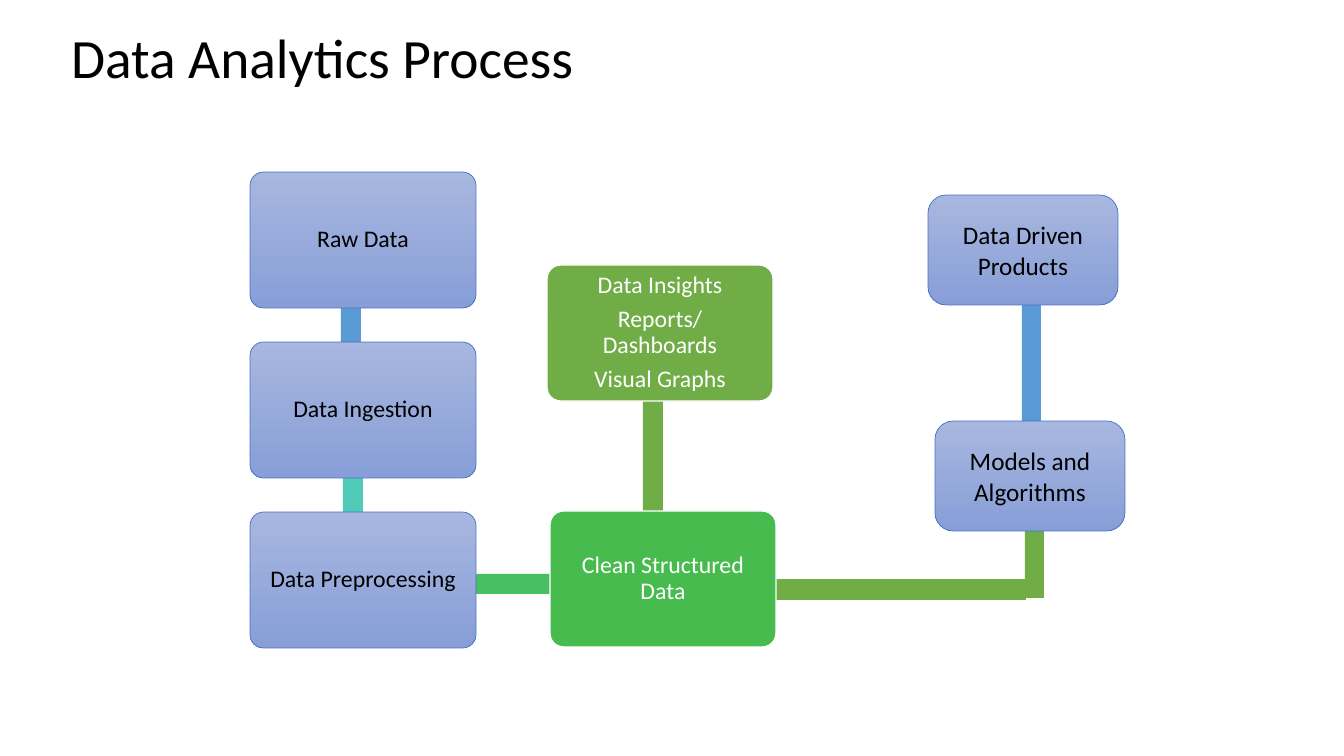
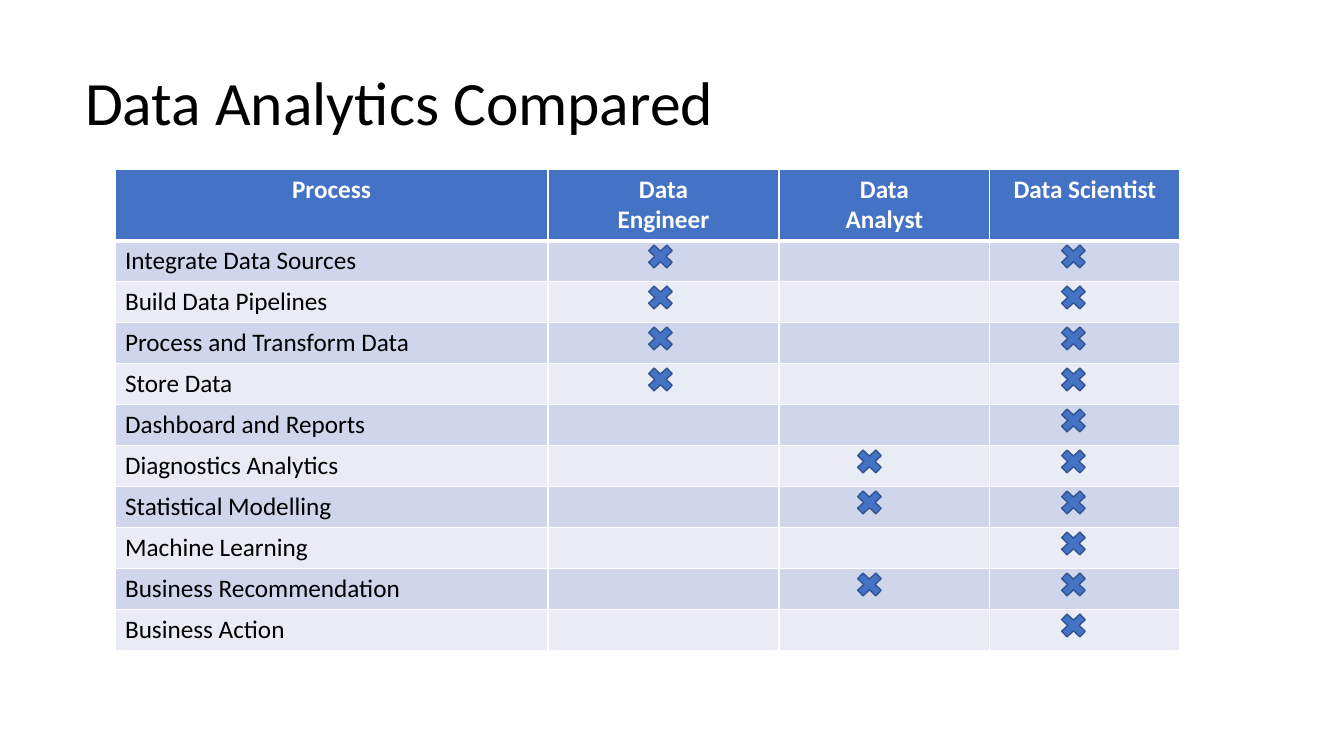
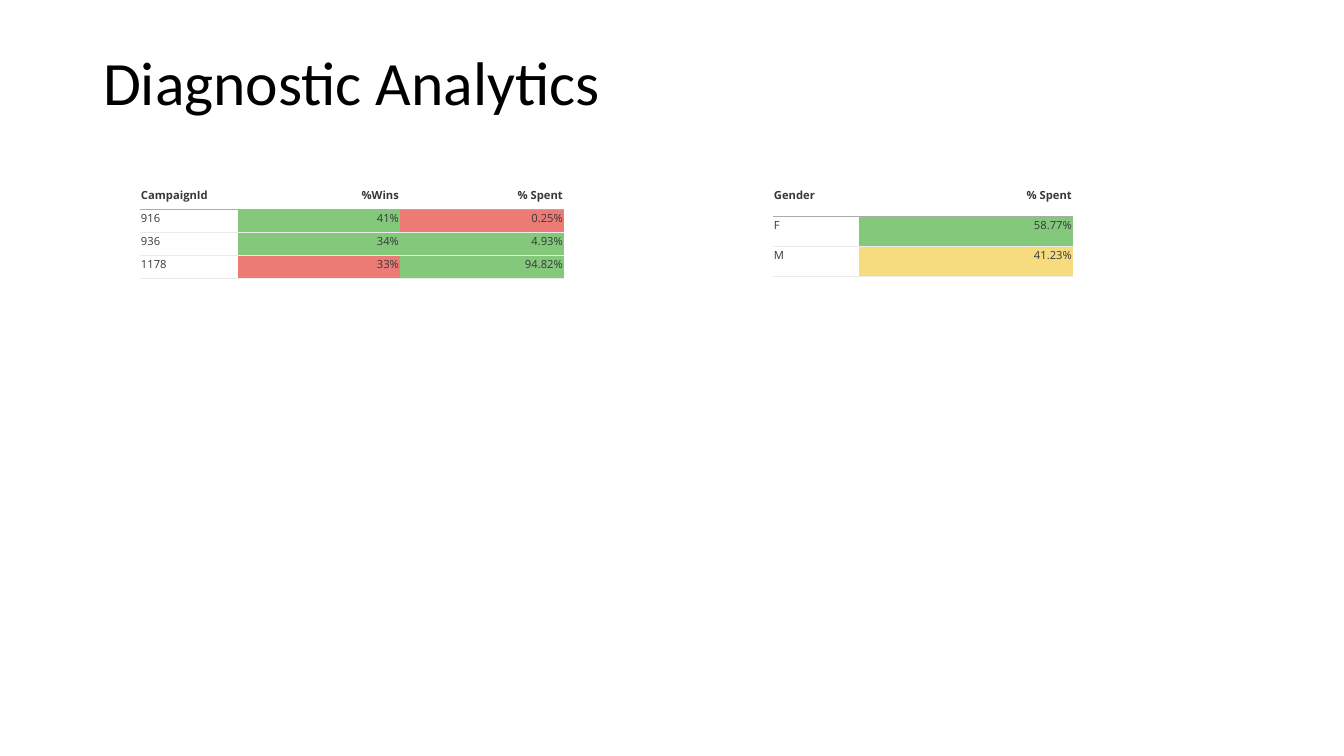
from dataclasses import dataclass

from lxml import etree
from pptx import Presentation
from pptx.dml.color import RGBColor
from pptx.enum.shapes import MSO_SHAPE
from pptx.enum.text import MSO_ANCHOR, MSO_AUTO_SIZE, PP_ALIGN
from pptx.oxml.ns import qn
from pptx.util import Emu, Pt

RECT = MSO_SHAPE.RECTANGLE
ROUNDED = MSO_SHAPE.ROUNDED_RECTANGLE
CROSS = MSO_SHAPE.MATH_MULTIPLY
LEFT, CENTER, RIGHT = PP_ALIGN.LEFT, PP_ALIGN.CENTER, PP_ALIGN.RIGHT
MIDDLE = MSO_ANCHOR.MIDDLE
NO_AUTOFIT = MSO_AUTO_SIZE.NONE
EMU_PER_PX = 914400 / 100.8


@dataclass(frozen=True)
class Theme:
    """Colours, fonts and type sizes of the deck."""
    font: str = "Calibri"
    data_font: str = "Open Sans"
    black: str = "000000"
    white: str = "FFFFFF"
    blue: str = "4472C4"
    blue_edge: str = "325491"
    sky: str = "5B9BD5"
    teal: str = "52CAB8"
    mint: str = "49BF64"
    emerald: str = "48BB4F"
    green: str = "70AD47"
    box_top: str = "A8B7DF"
    box_bottom: str = "889ED7"
    band_dark: str = "CFD5EA"
    band_light: str = "E9EBF5"
    data_text: str = "35383A"
    head_rule: str = "ABABAB"
    row_rule: str = "EBEBEB"
    good: str = "84C87B"
    bad: str = "EC7B75"
    fair: str = "F6DB7F"
    title_small: float = 39.6
    title: float = 44
    body: float = 18
    stage: float = 17
    data: float = 8


T = Theme()

# Process diagram: left, top, width, height, colour
LINKS = [
    (341, 206, 20, 168, T.sky),
    (343, 375, 20, 168, T.teal),
    (301, 574, 299, 20, T.mint),
    (643, 299, 20, 245, T.green),
    (1025, 488, 19, 110, T.green),
    (775, 579, 251, 21, T.green),
    (1022, 261, 19, 160, T.sky),
]
STAGES = ["Raw Data", "Data Ingestion", "Data Preprocessing"]
STAGE_LEFT, STAGE_TOP, STAGE_PITCH = 250, 172, 170
STAGE_SIZE = (226, 136)
RESULTS = [
    (550, 511, T.emerald, ["Clean Structured Data"]),
    (547, 265, T.green, ["Data Insights", "Reports/Dashboards", "Visual Graphs"]),
]
PRODUCTS = [
    (935, 421, "Models and Algorithms"),
    (928, 195, "Data Driven Products"),
]
PRODUCT_SIZE = (190, 110)

# Role comparison: task, then the roles that carry it out
ROLE_HEAD = ["Process", "Data\nEngineer", "Data\nAnalyst", "Data Scientist"]
ENGINEER, ANALYST, SCIENTIST = 643, 852, 1056  # left edge of each role's crosses
TASKS = [
    ("Integrate Data Sources", (ENGINEER, SCIENTIST)),
    ("Build Data Pipelines", (ENGINEER, SCIENTIST)),
    ("Process and Transform Data", (ENGINEER, SCIENTIST)),
    ("Store Data", (ENGINEER, SCIENTIST)),
    ("Dashboard and Reports", (SCIENTIST,)),
    ("Diagnostics Analytics", (ANALYST, SCIENTIST)),
    ("Statistical Modelling", (ANALYST, SCIENTIST)),
    ("Machine Learning", (SCIENTIST,)),
    ("Business Recommendation", (ANALYST, SCIENTIST)),
    ("Business Action", (SCIENTIST,)),
]
ROLE_COLUMNS = [433, 231, 211, 190]
ROLE_LEFT, ROLE_TOP, HEAD_HEIGHT, TASK_HEIGHT = 115, 169, 70, 41
CROSS_SIZE = (35, 33)

# Diagnostic tables: left, column widths, row height, rows, fills of the values
DIAGNOSTICS_TOP = 186
DIAGNOSTICS = [
    (773, [86, 214], 30,
     [["Gender", "% Spent"], ["F", "58.77%"], ["M", "41.23%"]],
     [[T.good], [T.fair]]),
    (140, [98, 162, 164], 23,
     [["CampaignId", "%Wins", "% Spent"], ["916", "41%", "0.25%"],
      ["936", "34%", "4.93%"], ["1178", "33%", "94.82%"]],
     [[T.good, T.bad], [T.good, T.good], [T.bad, T.good]]),
]


def px(length):
    """Turn pixels into EMU."""
    return Emu(round(length * EMU_PER_PX))


def rgb(colour):
    """Turn a hex string into a colour."""
    return RGBColor.from_string(colour)


def write(frame, text, size, colour, align, font=T.font, bold=False,
          spacing=None, after=None):
    """Fill a text frame, one paragraph a line, in one style."""
    frame.text = text
    for paragraph in frame.paragraphs:
        paragraph.alignment = align
        paragraph.line_spacing = spacing
        paragraph.space_after = after
        paragraph.font.name = font
        paragraph.font.size = Pt(size)
        paragraph.font.bold = bold
        paragraph.font.color.rgb = rgb(colour)


def add_titled_slide(deck, title, box, size):
    """Add a slide with its title placed and styled."""
    slide = deck.slides.add_slide(deck.slide_layouts[5])
    heading = slide.shapes.title
    heading.left, heading.top, heading.width, heading.height = map(px, box)
    write(heading.text_frame, title, size, T.black, LEFT, spacing=0.9)
    heading.text_frame.vertical_anchor = MIDDLE
    heading.text_frame.auto_size = NO_AUTOFIT
    return slide


def add_block(slide, kind, box, fill=None, edge=None, weight=1):
    """Add a preset shape; without a fill colour it gets the box gradient."""
    block = slide.shapes.add_shape(kind, *map(px, box))
    block.shadow.inherit = False
    if fill:
        block.fill.solid()
        block.fill.fore_color.rgb = rgb(fill)
    else:
        block.fill.gradient()
        block.fill.gradient_angle = 270
        for stop, colour in zip(block.fill.gradient_stops, (T.box_top, T.box_bottom)):
            stop.color.rgb = rgb(colour)
    if edge:
        block.line.color.rgb = rgb(edge)
        block.line.width = Pt(weight)
    else:
        block.line.fill.background()
    return block


def add_step(slide, box, text, colour, fill=None, edge=T.blue, weight=0.5):
    """Add a step of the main flow with slightly rounded corners."""
    step = add_block(slide, ROUNDED, box, fill, edge, weight)
    step.adjustments[0] = 0.1
    write(step.text_frame, text, T.stage, colour, CENTER, spacing=0.9, after=Pt(6))
    step.text_frame.vertical_anchor = MIDDLE


def add_grid(slide, left, top, columns, rows):
    """Add a table with the given column widths and row heights."""
    grid = slide.shapes.add_table(len(rows), len(columns), px(left), px(top),
                                  px(sum(columns)), px(sum(rows))).table
    for column, width in zip(grid.columns, columns):
        column.width = px(width)
    for row, height in zip(grid.rows, rows):
        row.height = px(height)
    return grid


def paint_cell(cell, fill, **borders):
    """Set a cell's L, R, T and B borders as (colour, points) or None, then its fill."""
    properties = cell._tc.get_or_add_tcPr()
    for side in "LRTB":
        border = borders.get(side)
        line = etree.SubElement(properties, qn("a:ln" + side))
        if border:
            colour, points = border
            line.set("w", str(Pt(points)))
            solid = etree.SubElement(line, qn("a:solidFill"))
            etree.SubElement(solid, qn("a:srgbClr")).set("val", colour)
        else:
            etree.SubElement(line, qn("a:noFill"))
    cell.fill.solid()
    cell.fill.fore_color.rgb = rgb(fill)


def build_process(deck):
    """Build the process diagram: links first, boxes over them."""
    slide = add_titled_slide(deck, "Data Analytics Process", (61, 25, 948, 72),
                             T.title_small)
    for *box, colour in LINKS:
        add_block(slide, RECT, box, colour)
    for index, stage in enumerate(STAGES):
        top = STAGE_TOP + index * STAGE_PITCH
        add_step(slide, (STAGE_LEFT, top, *STAGE_SIZE), stage, T.black)
    for left, top, fill, lines in RESULTS:
        add_step(slide, (left, top, *STAGE_SIZE), "\n".join(lines), T.white,
                 fill, T.white, 1)
    for left, top, product in PRODUCTS:
        block = add_block(slide, ROUNDED, (left, top, *PRODUCT_SIZE),
                          edge=T.blue, weight=0.5)
        write(block.text_frame, product, T.body, T.black, CENTER)
        block.text_frame.vertical_anchor = MIDDLE


def build_comparison(deck):
    """Build the table of tasks and put a cross under each role involved."""
    slide = add_titled_slide(deck, "Data Analytics Compared", (75, 67, 948, 77),
                             T.title)
    grid = add_grid(slide, ROLE_LEFT, ROLE_TOP, ROLE_COLUMNS,
                    [HEAD_HEIGHT] + [TASK_HEIGHT] * len(TASKS))
    thin, thick = (T.white, 1), (T.white, 3)
    for column, role in enumerate(ROLE_HEAD):
        cell = grid.cell(0, column)
        write(cell.text_frame, role, T.body, T.white, CENTER, bold=True)
        paint_cell(cell, T.blue, L=thin, R=thin, T=thin, B=thick)
    for row, (task, roles) in enumerate(TASKS, 1):
        band = T.band_dark if row % 2 else T.band_light
        for column in range(len(ROLE_COLUMNS)):
            cell = grid.cell(row, column)
            write(cell.text_frame, "" if column else task, T.body, T.black, LEFT)
            paint_cell(cell, band, L=thin, R=thin, B=thin,
                       T=thick if row == 1 else thin)
        top = ROLE_TOP + HEAD_HEIGHT + (row - 1) * TASK_HEIGHT + 1
        for left in roles:
            add_block(slide, CROSS, (left, top, *CROSS_SIZE), T.blue, T.blue_edge)


def build_diagnostics(deck):
    """Build the small tables with coloured values."""
    slide = add_titled_slide(deck, "Diagnostic Analytics", (93, 40, 1159, 92), T.title)
    head_rule, row_rule = (T.head_rule, 0.5), (T.row_rule, 0.5)
    for left, columns, height, rows, value_fills in DIAGNOSTICS:
        grid = add_grid(slide, left, DIAGNOSTICS_TOP, columns, [height] * len(rows))
        rules = [None, head_rule] + [row_rule] * (len(rows) - 1)
        fills = [[T.white] * len(columns)] + [[T.white] + row for row in value_fills]
        for r, texts in enumerate(rows):
            for c, text in enumerate(texts):
                cell = grid.cell(r, c)
                cell.margin_left = cell.margin_right = cell.margin_top = px(1)
                cell.margin_bottom = 0
                write(cell.text_frame, text, T.data, T.data_text,
                      RIGHT if c else LEFT, T.data_font, bold=r == 0)
                paint_cell(cell, fills[r][c], T=rules[r], B=rules[r + 1])


def main():
    """Build the deck and save it."""
    deck = Presentation()
    deck.slide_width, deck.slide_height = px(1344), px(756)
    build_process(deck)
    build_comparison(deck)
    build_diagnostics(deck)
    deck.save("out.pptx")


main()
